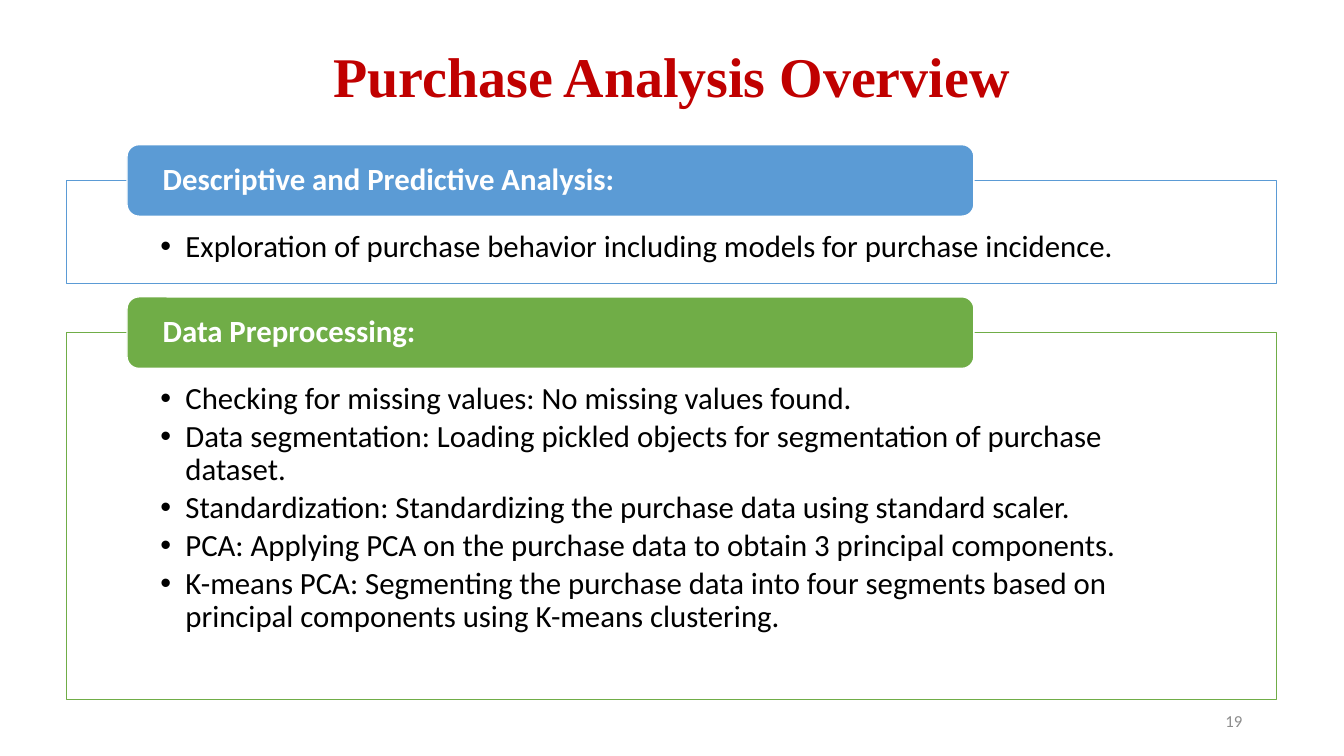
from dataclasses import dataclass

from lxml.etree import SubElement
from pptx import Presentation
from pptx.dml.color import RGBColor
from pptx.enum.shapes import MSO_SHAPE
from pptx.enum.text import MSO_ANCHOR, PP_ALIGN
from pptx.oxml.ns import qn
from pptx.util import Inches, Pt


@dataclass(frozen=True)
class Theme:
    red: str = "C00000"
    blue: str = "5B9BD5"
    green: str = "70AD47"
    white: str = "FFFFFF"
    black: str = "000000"
    gray: str = "8C8C8C"
    head: str = "Times New Roman"
    body: str = "Calibri"
    title: int = 40
    text: int = 22
    note: int = 12


THEME = Theme()
LEFT, WIDTH = 0.66, 12
TAB_HIGH = 0.71
PANELS = [
    (1.79, 1.02, THEME.blue, "Descriptive and Predictive Analysis:", [
        "Exploration of purchase behavior including models for purchase incidence.",
    ]),
    (3.3, 3.64, THEME.green, "Data Preprocessing:", [
        "Checking for missing values: No missing values found.",
        "Data segmentation: Loading pickled objects for segmentation of purchase dataset.",
        "Standardization: Standardizing the purchase data using standard scaler.",
        "PCA: Applying PCA on the purchase data to obtain 3 principal components.",
        "K-means PCA: Segmenting the purchase data into four segments based on "
        "principal components using K-means clustering.",
    ]),
]


def style(para, size, color, face=THEME.body, bold=False, align=PP_ALIGN.LEFT):
    para.alignment = align
    font = para.font
    font.size, font.name, font.bold = Pt(size), face, bold
    font.color.rgb = RGBColor.from_string(color)


def inset(frame, side, top=0, base=0):
    frame.word_wrap = True
    frame.margin_left = frame.margin_right = Inches(side)
    frame.margin_top, frame.margin_bottom = Inches(top), Inches(base)


def add_box(slide, kind, box, fill, line):
    shape = slide.shapes.add_shape(kind, *map(Inches, box))
    shape.shadow.inherit = False
    shape.fill.solid()
    shape.fill.fore_color.rgb = RGBColor.from_string(fill)
    shape.line.color.rgb = RGBColor.from_string(line)
    shape.line.width = Pt(1)
    return shape


def add_bullet(para):
    props = para._p.get_or_add_pPr()
    props.set("marL", str(Inches(0.25)))
    props.set("indent", str(Inches(-0.25)))
    SubElement(props, qn("a:buFont")).set("typeface", "Arial")
    SubElement(props, qn("a:buChar")).set("char", "•")


def add_panel(slide, box, color, label, items):
    """Draw a framed list with a label tab centred on its top edge."""
    left, top, width, _ = box
    frame = add_box(slide, MSO_SHAPE.RECTANGLE, box, THEME.white, color).text_frame
    inset(frame, 0.93, 0.5, 0.17)
    frame.vertical_anchor = MSO_ANCHOR.TOP
    frame.text = "\n".join(items)
    for para in frame.paragraphs:
        para.level = 1
        para.line_spacing = 0.9
        para.space_after = Pt(THEME.text * 0.15)
        add_bullet(para)
        style(para, THEME.text, THEME.black)

    place = (left + width * 0.05, top - TAB_HIGH / 2, width * 0.7, TAB_HIGH)
    tab = add_box(slide, MSO_SHAPE.ROUNDED_RECTANGLE, place, color, THEME.white)
    frame = tab.text_frame
    inset(frame, 0.32)
    frame.vertical_anchor = MSO_ANCHOR.MIDDLE
    frame.text = label
    para = frame.paragraphs[0]
    para.line_spacing = 0.9
    style(para, THEME.text, THEME.white, bold=True)


def add_label(slide, box, text, anchor=MSO_ANCHOR.TOP, **look):
    frame = slide.shapes.add_textbox(*map(Inches, box)).text_frame
    inset(frame, 0.1, 0.05, 0.05)
    frame.vertical_anchor = anchor
    frame.text = text
    style(frame.paragraphs[0], **look)


def main():
    deck = Presentation()
    deck.slide_width, deck.slide_height = Inches(13.33), Inches(7.5)
    slide = deck.slides.add_slide(deck.slide_layouts[6])
    add_label(slide, (2.75, 0.36, 7.82, 0.77), "Purchase Analysis Overview",
              size=THEME.title, color=THEME.red, face=THEME.head, bold=True,
              align=PP_ALIGN.CENTER)
    for top, height, color, label, items in PANELS:
        add_panel(slide, (LEFT, top, WIDTH, height), color, label, items)
    add_label(slide, (9.42, 6.95, 3, 0.4), "19", MSO_ANCHOR.MIDDLE,
              size=THEME.note, color=THEME.gray, align=PP_ALIGN.RIGHT)
    deck.save("out.pptx")


if __name__ == "__main__":
    main()
